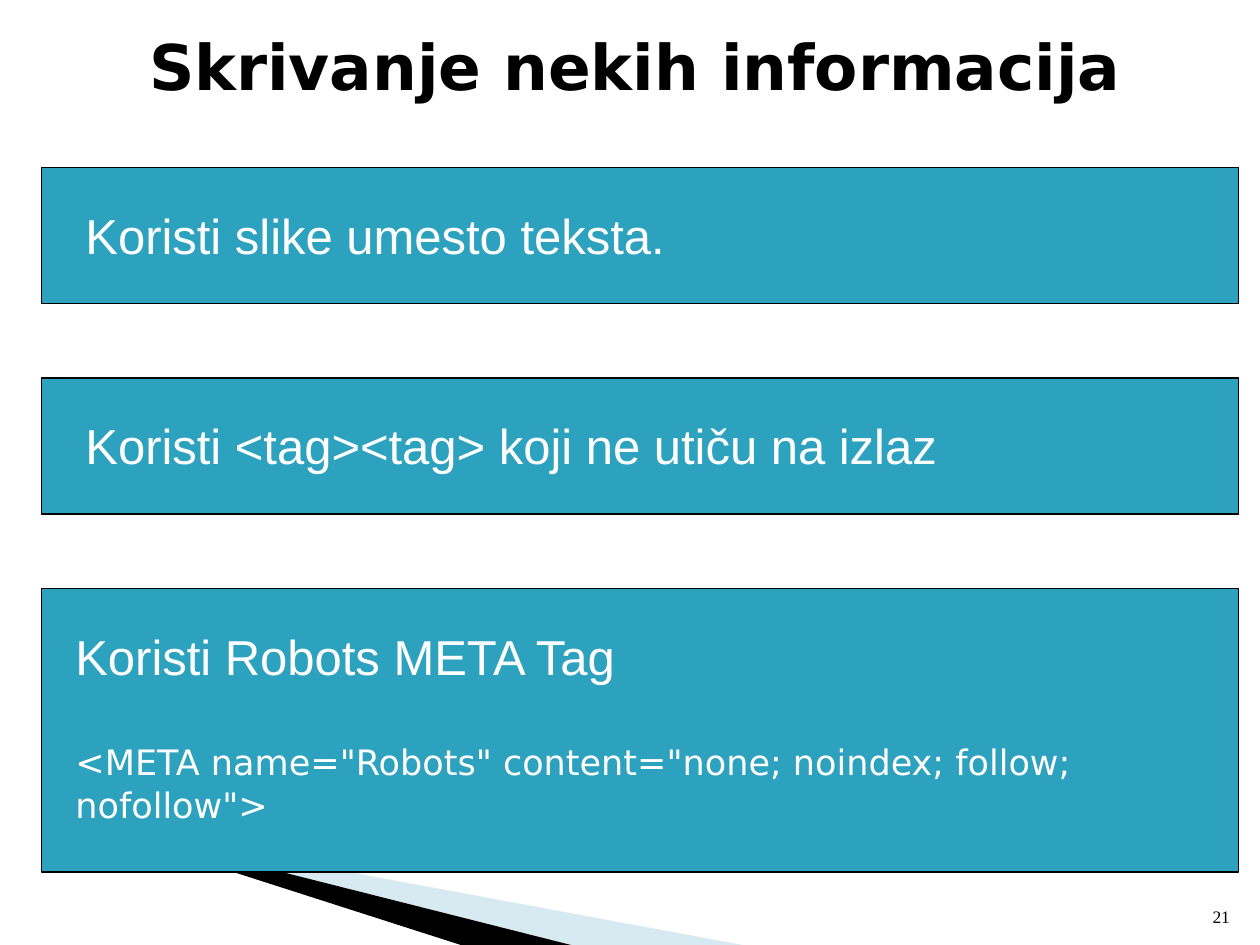
from lxml import etree
from pptx import Presentation
from pptx.dml.color import RGBColor
from pptx.enum.shapes import MSO_SHAPE
from pptx.enum.text import MSO_ANCHOR, PP_ALIGN
from pptx.oxml.ns import qn
from pptx.util import Inches, Pt

RECT = MSO_SHAPE.RECTANGLE
TOP, BOTTOM = MSO_ANCHOR.TOP, MSO_ANCHOR.BOTTOM
LEFT, CENTER, RIGHT = PP_ALIGN.LEFT, PP_ALIGN.CENTER, PP_ALIGN.RIGHT

BLACK, WHITE = RGBColor(0, 0, 0), RGBColor(255, 255, 255)
THEME = {
    "panel": RGBColor.from_string("2DA2BF"),
    "pale": RGBColor.from_string("9FCBDC"),
    "edge": BLACK,
    "title": dict(name="DejaVu Sans", size=Pt(36), bold=True, color=BLACK),
    "body": dict(name="Arial", size=Pt(28), bold=False, color=WHITE),
    "code": dict(name="DejaVu Sans", size=Pt(20), bold=False, color=WHITE),
    "page": dict(name="Times New Roman", size=Pt(10), bold=False, color=BLACK),
}


def write(box, rows, align=LEFT, anchor=TOP):
    """Fill a text shape with (text, style, space before) rows."""
    frame = box.text_frame
    frame.word_wrap = True
    frame.vertical_anchor = anchor
    for i, (text, style, gap) in enumerate(rows):
        para = frame.add_paragraph() if i else frame.paragraphs[0]
        para.text = text
        para.alignment = align
        para.space_before = Pt(gap)
        for run in para.runs:
            for key, value in THEME[style].items():
                if key == "color":
                    run.font.color.rgb = value
                else:
                    setattr(run.font, key, value)


deck = Presentation()
deck.slide_width, deck.slide_height = Inches(10), Inches(7.5)
slide = deck.slides.add_slide(deck.slide_layouts[5])
shapes = slide.shapes

# Corner wedges behind the panels
wedges = [
    ("pale", 40, [(0.55, 6.51), (5.95, 7.51), (4.56, 7.51), (0.55, 6.5)]),
    ("edge", 100, [(0.53, 6.49), (4.57, 7.51), (3.72, 7.52), (0.54, 6.5)]),
]
for color, alpha, points in wedges:
    spots = [(Inches(x), Inches(y)) for x, y in points]
    pen = shapes.build_freeform(*spots[0])
    pen.add_line_segments(spots[1:], close=True)
    wedge = pen.convert_to_shape()
    wedge.shadow.inherit = False
    wedge.line.fill.background()
    wedge.fill.solid()
    wedge.fill.fore_color.rgb = THEME[color]
    if alpha < 100:
        tint = wedge.fill._xPr.find(qn("a:solidFill"))[0]
        etree.SubElement(tint, qn("a:alpha"), val=str(alpha * 1000))

# Title
title = shapes.title
title.left, title.top = Inches(0.25), Inches(0.17)
title.width, title.height = Inches(9.58), Inches(0.7)
write(title, [("Skrivanje nekih informacija", "title", 0)], CENTER)

# Panels: height, text left, text width, rows
panels = [
    (1.08, 0.58, 9.22, [("Koristi slike umesto teksta.", "body", 0)]),
    (1.08, 0.58, 8.5,
     [("Koristi <tag><tag> koji ne utiču na izlaz", "body", 0)]),
    (2.25, 0.5, 9.25,
     [("Koristi Robots META Tag", "body", 0),
      ('<META name="Robots" content="none; noindex; follow; \vnofollow">',
       "code", 32)]),
]
for i, (height, left, width, rows) in enumerate(panels):
    top = 1.33 + i * 1.67
    panel = shapes.add_shape(RECT, Inches(0.33), Inches(top),
                             Inches(9.5), Inches(height))
    panel.shadow.inherit = False
    panel.fill.solid()
    panel.fill.fore_color.rgb = THEME["panel"]
    panel.line.color.rgb = THEME["edge"]
    panel.line.width = Pt(0.75)
    label = shapes.add_textbox(Inches(left), Inches(top + 0.25),
                               Inches(width), Inches(height - 0.5))
    write(label, rows)

# Page number
page = shapes.add_textbox(Inches(9.46), Inches(7.01), Inches(0.4), Inches(0.4))
write(page, [("21", "page", 0)], RIGHT, BOTTOM)

deck.save("out.pptx")
